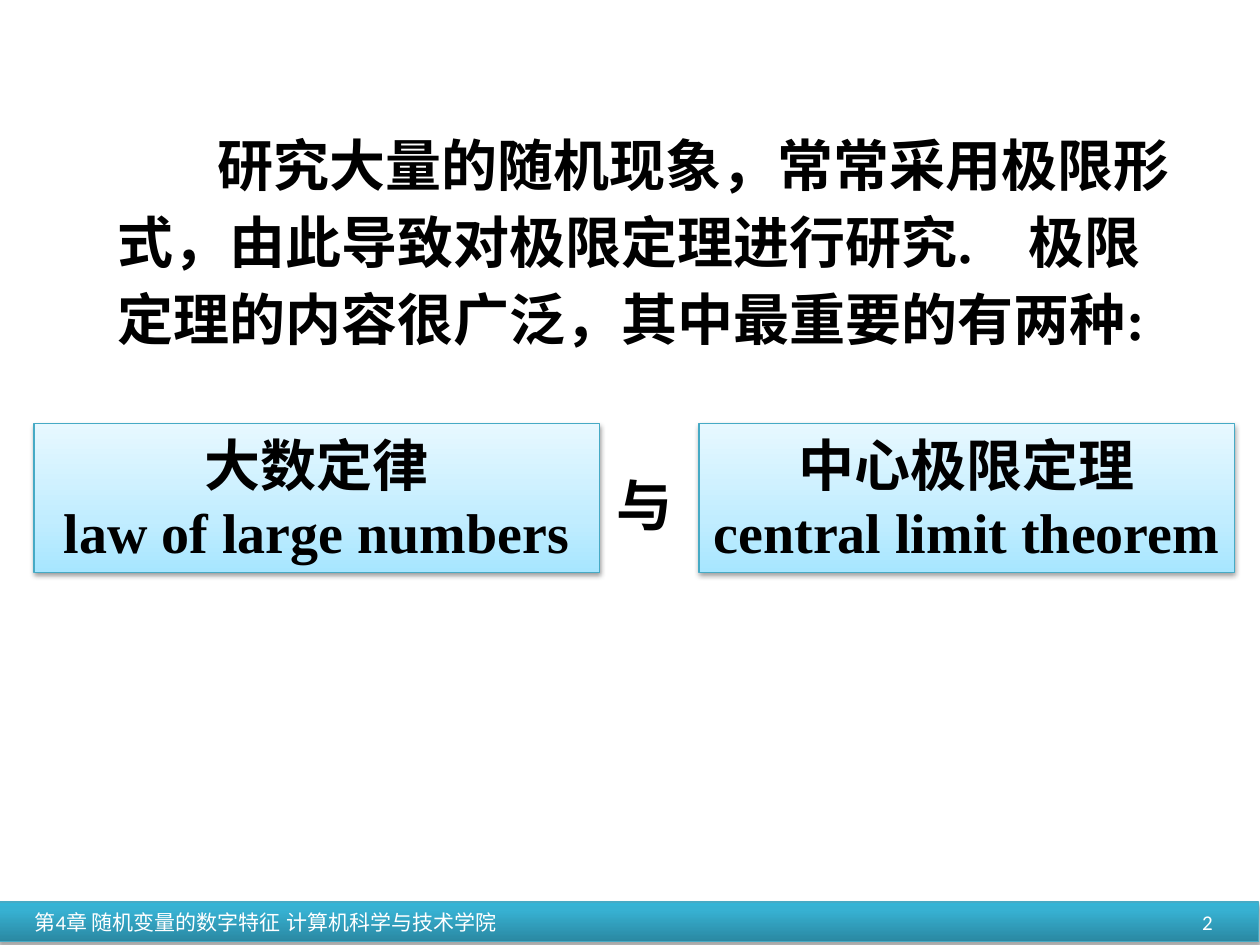
"""Build the slide that introduces the two kinds of limit theorems."""
from dataclasses import dataclass

from lxml import etree
from pptx import Presentation
from pptx import util as u
from pptx.dml.color import RGBColor
from pptx.enum import shapes, text
from pptx.oxml import ns

BLACK = RGBColor(0x00, 0x00, 0x00)
WHITE = RGBColor(0xFF, 0xFF, 0xFF)
EDGE = RGBColor(0x46, 0xAA, 0xC5)
BAR_STOPS = (
    (0, RGBColor(0x2A, 0x88, 0xA2)),
    (80, RGBColor(0x37, 0xB1, 0xD2)),
    (100, RGBColor(0x34, 0xB4, 0xD6)),
)
CARD_STOPS = (
    (0, RGBColor(0xA7, 0xE6, 0xFF)),
    (35, RGBColor(0xC1, 0xED, 0xFF)),
    (100, RGBColor(0xE7, 0xF8, 0xFF)),
)
SERIF, SANS = "Times New Roman", "Calibri"


@dataclass(frozen=True)
class Box:
    left: float
    top: float
    width: float
    height: float

    def points(self) -> tuple:
        return tuple(u.Pt(v) for v in (self.left, self.top, self.width, self.height))


@dataclass(frozen=True)
class Theorem:
    box: Box
    chinese: str
    english: str


THEOREMS = (
    Theorem(Box(19.5, 242, 323, 85), "大数定律", "law of large numbers"),
    Theorem(Box(399.5, 242, 306, 85), "中心极限定理", "central limit theorem"),
)


def add_element(parent, tag: str, **attributes):
    return etree.SubElement(parent, ns.qn(tag), {k: str(v) for k, v in attributes.items()})


def write(shape, lines: tuple, font: str, size: float, color: RGBColor,
          align=text.PP_ALIGN.CENTER, bold: bool = False, wrap: bool = True):
    frame = shape.text_frame
    frame.word_wrap = wrap
    frame.vertical_anchor = text.MSO_ANCHOR.MIDDLE
    frame.text = "\n".join(lines)
    for paragraph in frame.paragraphs:
        paragraph.alignment = align
        paragraph.font.name = font
        paragraph.font.size = u.Pt(size)
        paragraph.font.bold = bold
        paragraph.font.color.rgb = color
    return frame


def add_panel(slide, box: Box, stops: tuple, shadow_alpha: int, shadow_gap: float):
    panel = slide.shapes.add_shape(shapes.MSO_SHAPE.RECTANGLE, *box.points())
    panel.line.color.rgb = EDGE
    panel.line.width = u.Pt(0.75)
    panel.shadow.inherit = False
    panel.fill.gradient()
    properties = panel._element.spPr
    gradient = properties.find(ns.qn("a:gradFill"))
    for child in list(gradient):
        gradient.remove(child)
    stop_list = add_element(gradient, "a:gsLst")
    for percent, color in stops:
        stop = add_element(stop_list, "a:gs", pos=percent * 1000)
        add_element(stop, "a:srgbClr", val=color)
    add_element(gradient, "a:lin", ang=270 * 60000, scaled=0)
    shadow = add_element(properties.find(ns.qn("a:effectLst")), "a:outerShdw",
                         blurRad=u.Pt(3.1), dist=u.Pt(shadow_gap),
                         dir=90 * 60000, rotWithShape=0)
    tint = add_element(shadow, "a:srgbClr", val=BLACK)
    add_element(tint, "a:alpha", val=shadow_alpha * 1000)
    return panel


def add_footer(slide) -> None:
    bar = add_panel(slide, Box(-0.75, 515.5, 720, 22.5), BAR_STOPS, 35, 1.8)
    bar.text_frame.margin_left = u.Pt(20.5)
    tabs = add_element(bar.text_frame.paragraphs[0]._p.get_or_add_pPr(), "a:tabLst")
    add_element(tabs, "a:tab", pos=u.Pt(510.5), algn="l")
    write(bar, ("第4章 随机变量的数字特征\t计算机科学与技术学院",),
          SANS, 12, WHITE, text.PP_ALIGN.LEFT, wrap=False)
    page_number = slide.shapes.add_textbox(*Box(532, 512.5, 168, 29).points())
    write(page_number, ("2",), SANS, 12, WHITE, text.PP_ALIGN.RIGHT)


def add_introduction(slide) -> None:
    introduction = slide.shapes.add_textbox(*Box(60, 43, 618, 184).points())
    sentence = ("研究大量的随机现象，常常采用极限形式，由此导致对极限定理进行研究.　"
                "极限定理的内容很广泛，其中最重要的有两种:")
    frame = write(introduction, (sentence,), SERIF, 32, BLACK, text.PP_ALIGN.LEFT, bold=True)
    opening = frame.paragraphs[0]
    opening.line_spacing = 1.15
    opening._p.get_or_add_pPr().set("indent", str(u.Pt(57)))


def add_theorems(slide) -> None:
    conjunction = slide.shapes.add_textbox(*Box(345, 265.5, 47, 45.5).points())
    write(conjunction, ("与",), SERIF, 32, BLACK, bold=True, wrap=False)
    for theorem in THEOREMS:
        card = add_panel(slide, theorem.box, CARD_STOPS, 38, 1.6)
        write(card, (theorem.chinese, theorem.english), SERIF, 32, BLACK, bold=True)


def main() -> None:
    deck = Presentation()
    deck.slide_width, deck.slide_height = u.Pt(720), u.Pt(540)
    slide = deck.slides.add_slide(deck.slide_layouts[6])
    add_footer(slide)
    add_introduction(slide)
    add_theorems(slide)
    deck.save("out.pptx")


if __name__ == "__main__":
    main()
